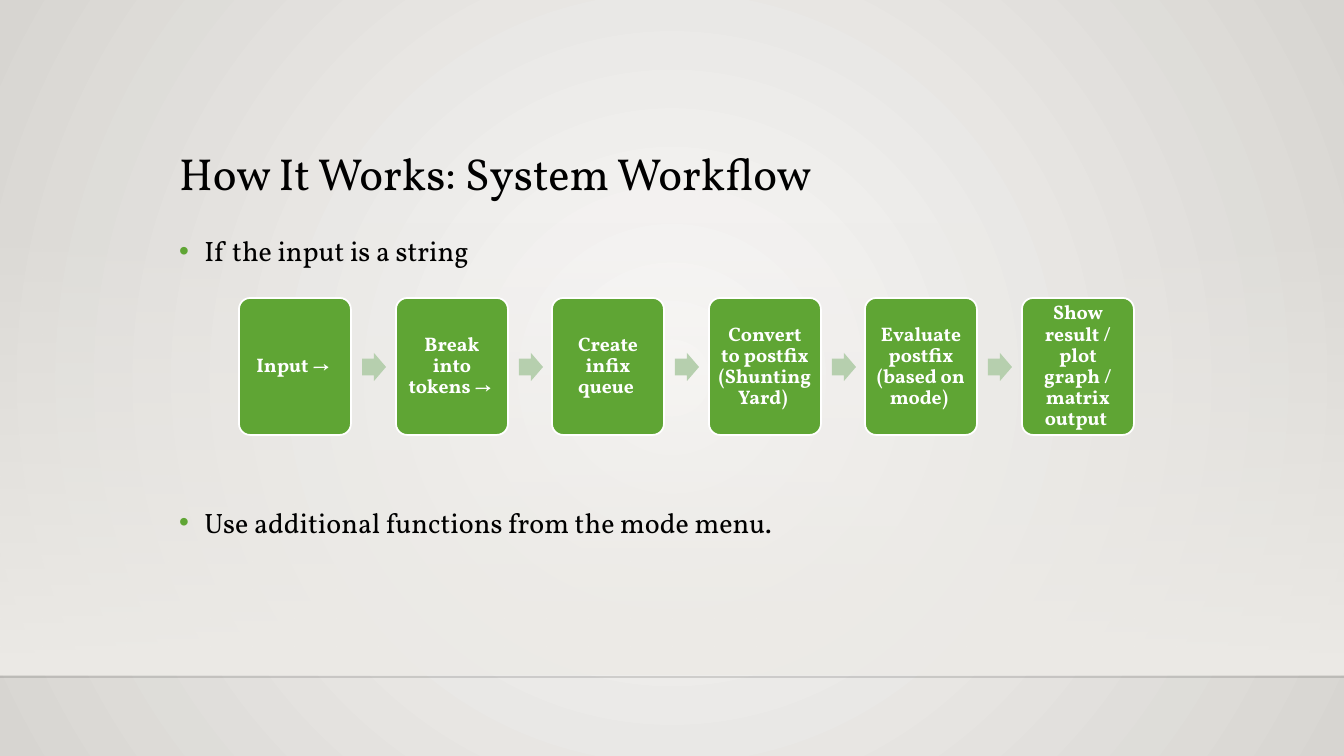
"""Build the system workflow slide: title, two bullets and a six-step process."""
from dataclasses import dataclass

from lxml import etree
from pptx import Presentation
from pptx import util as u
from pptx.dml.color import RGBColor
from pptx.enum import shapes, text
from pptx.oxml.ns import qn

EMU_PER_PX = 12192000 / 1344
SLIDE_WIDTH, SLIDE_HEIGHT = 1344, 756
FONT = "Vollkorn"

BLACK = RGBColor(0x00, 0x00, 0x00)
RULE = RGBColor(0x00, 0x00, 0x01)
WHITE = RGBColor(0xFF, 0xFF, 0xFF)
GREEN = RGBColor(0x5F, 0xA5, 0x34)
PALE_GREEN = RGBColor(0xB6, 0xCF, 0xAE)
CENTRE_GREY = RGBColor(0xFA, 0xF9, 0xF8)
EDGE_GREY = RGBColor(0xD7, 0xD5, 0xD1)
WALL = RGBColor(0xED, 0xEB, 0xE7)


@dataclass(frozen=True)
class Box:
    left: int
    top: int
    width: int
    height: int


@dataclass(frozen=True)
class Step:
    label: str
    tail: str = ""


@dataclass(frozen=True)
class Bullet:
    label: str
    space_before: int


TITLE = "How It Works: System Workflow"
TITLE_BOX = Box(169, 89, 1049, 116)
BODY_BOX = Box(169, 222, 1049, 380)
WALL_BOX = Box(0, 222, SLIDE_WIDTH, 453)
FLOOR_TOP = 677
FIRST_STEP = Box(239, 298, 112, 137)
FIRST_ARROW = Box(362, 353, 24, 28)
LAST_STEP_OFFSET = 783

BULLETS = [
    Bullet("If the input is a string", 10),
    Bullet("Use additional functions from the mode menu.", 165),
]
STEPS = [
    Step("Input", " → "),
    Step("Break into tokens", " → "),
    Step("Create infix queue "),
    Step("Convert to postfix (Shunting Yard) "),
    Step("Evaluate postfix (based on mode) "),
    Step("Show result / plot graph / matrix output "),
]


def px(length: int) -> u.Emu:
    return u.Emu(round(length * EMU_PER_PX))


def place(shape, box: Box) -> None:
    shape.left, shape.top = px(box.left), px(box.top)
    shape.width, shape.height = px(box.width), px(box.height)


def add_run(paragraph, label: str, size: int, color: RGBColor, bold: bool = False) -> None:
    run = paragraph.add_run()
    run.text = label
    run.font.name = FONT
    run.font.size = u.Pt(size)
    run.font.bold = bold
    run.font.color.rgb = color


def set_alpha(color_element, percent: int) -> None:
    etree.SubElement(color_element, qn("a:alpha"), val=str(percent * 1000))


def add_shape(slide, kind, box: Box, color: RGBColor):
    shape = slide.shapes.add_shape(
        kind, px(box.left), px(box.top), px(box.width), px(box.height))
    shape.shadow.inherit = False
    shape.fill.solid()
    shape.fill.fore_color.rgb = color
    shape.line.fill.background()
    return shape


def paint_background(slide) -> None:
    fill = slide.background.fill
    fill.gradient()
    for stop, color in zip(fill.gradient_stops, (CENTRE_GREY, EDGE_GREY)):
        stop.color.rgb = color
    gradient = slide.element.find(".//" + qn("a:gradFill"))
    linear = gradient.find(qn("a:lin"))
    circle = etree.Element(qn("a:path"), path="circle")
    etree.SubElement(circle, qn("a:fillToRect"), l="50000", t="50000", r="50000", b="50000")
    gradient.replace(linear, circle)


def add_backdrop(slide) -> None:
    wall = add_shape(slide, shapes.MSO_SHAPE.RECTANGLE, WALL_BOX, WALL)
    wall.fill.gradient()
    wall.fill.gradient_angle = 270
    for stop in wall.fill.gradient_stops:
        stop.color.rgb = WALL
    set_alpha(wall.element.find(".//" + qn("a:srgbClr")), 0)

    rule = slide.shapes.add_connector(
        shapes.MSO_CONNECTOR.STRAIGHT, px(0), px(FLOOR_TOP), px(SLIDE_WIDTH), px(FLOOR_TOP))
    rule.line.width = u.Pt(1)
    rule.line.color.rgb = RULE
    set_alpha(rule.element.find(".//" + qn("a:srgbClr")), 20)
    etree.SubElement(rule.element.spPr, qn("a:effectLst"))

    tree = wall.element.getparent()
    for position, shape in enumerate((wall, rule), start=2):
        tree.insert(position, shape.element)


def fill_title(slide) -> None:
    title = slide.shapes.title
    place(title, TITLE_BOX)
    frame = title.text_frame
    frame.auto_size = text.MSO_AUTO_SIZE.NONE
    frame.vertical_anchor = text.MSO_ANCHOR.BOTTOM
    paragraph = frame.paragraphs[0]
    paragraph.alignment = text.PP_ALIGN.LEFT
    paragraph.line_spacing = 0.9
    add_run(paragraph, TITLE, 32, BLACK)


def set_bullet(paragraph) -> None:
    properties = paragraph.runs[0].font and paragraph._p.get_or_add_pPr()
    properties.set("marL", str(u.Inches(0.25)))
    properties.set("indent", str(-u.Inches(0.25)))
    color = etree.SubElement(properties, qn("a:buClr"))
    etree.SubElement(color, qn("a:srgbClr"), val=str(GREEN))
    etree.SubElement(properties, qn("a:buFont"), typeface="Arial")
    etree.SubElement(properties, qn("a:buChar"), char="•")


def fill_body(slide) -> None:
    body = slide.placeholders[1]
    place(body, BODY_BOX)
    frame = body.text_frame
    frame.auto_size = text.MSO_AUTO_SIZE.NONE
    for index, bullet in enumerate(BULLETS):
        paragraph = frame.add_paragraph() if index else frame.paragraphs[0]
        paragraph.line_spacing = 1.2
        paragraph.space_before = u.Pt(bullet.space_before)
        add_run(paragraph, bullet.label, 20, BLACK)
        set_bullet(paragraph)


def add_step(slide, step: Step, box: Box) -> None:
    block = add_shape(slide, shapes.MSO_SHAPE.ROUNDED_RECTANGLE, box, GREEN)
    block.adjustments[0] = 0.1
    block.line.color.rgb = WHITE
    block.line.width = u.Pt(1.25)
    frame = block.text_frame
    frame.word_wrap = True
    frame.vertical_anchor = text.MSO_ANCHOR.MIDDLE
    frame.margin_left = frame.margin_right = px(5)
    frame.margin_top = frame.margin_bottom = px(5)
    paragraph = frame.paragraphs[0]
    paragraph.alignment = text.PP_ALIGN.CENTER
    paragraph.line_spacing = 0.9
    add_run(paragraph, step.label, 14, WHITE, bold=True)
    if step.tail:
        add_run(paragraph, step.tail, 14, WHITE)


def add_workflow(slide) -> None:
    last = len(STEPS) - 1
    for index, step in enumerate(STEPS):
        offset = round(LAST_STEP_OFFSET * index / last)
        add_step(slide, step, Box(FIRST_STEP.left + offset, FIRST_STEP.top,
                                  FIRST_STEP.width, FIRST_STEP.height))
        if index < last:
            arrow = add_shape(slide, shapes.MSO_SHAPE.RIGHT_ARROW,
                              Box(FIRST_ARROW.left + offset, FIRST_ARROW.top,
                                  FIRST_ARROW.width, FIRST_ARROW.height), PALE_GREEN)
            arrow.adjustments[0] = 0.6


def main() -> None:
    presentation = Presentation()
    presentation.slide_width, presentation.slide_height = px(SLIDE_WIDTH), px(SLIDE_HEIGHT)
    slide = presentation.slides.add_slide(presentation.slide_layouts[1])
    paint_background(slide)
    fill_title(slide)
    fill_body(slide)
    add_backdrop(slide)
    add_workflow(slide)
    presentation.save("out.pptx")


if __name__ == "__main__":
    main()
